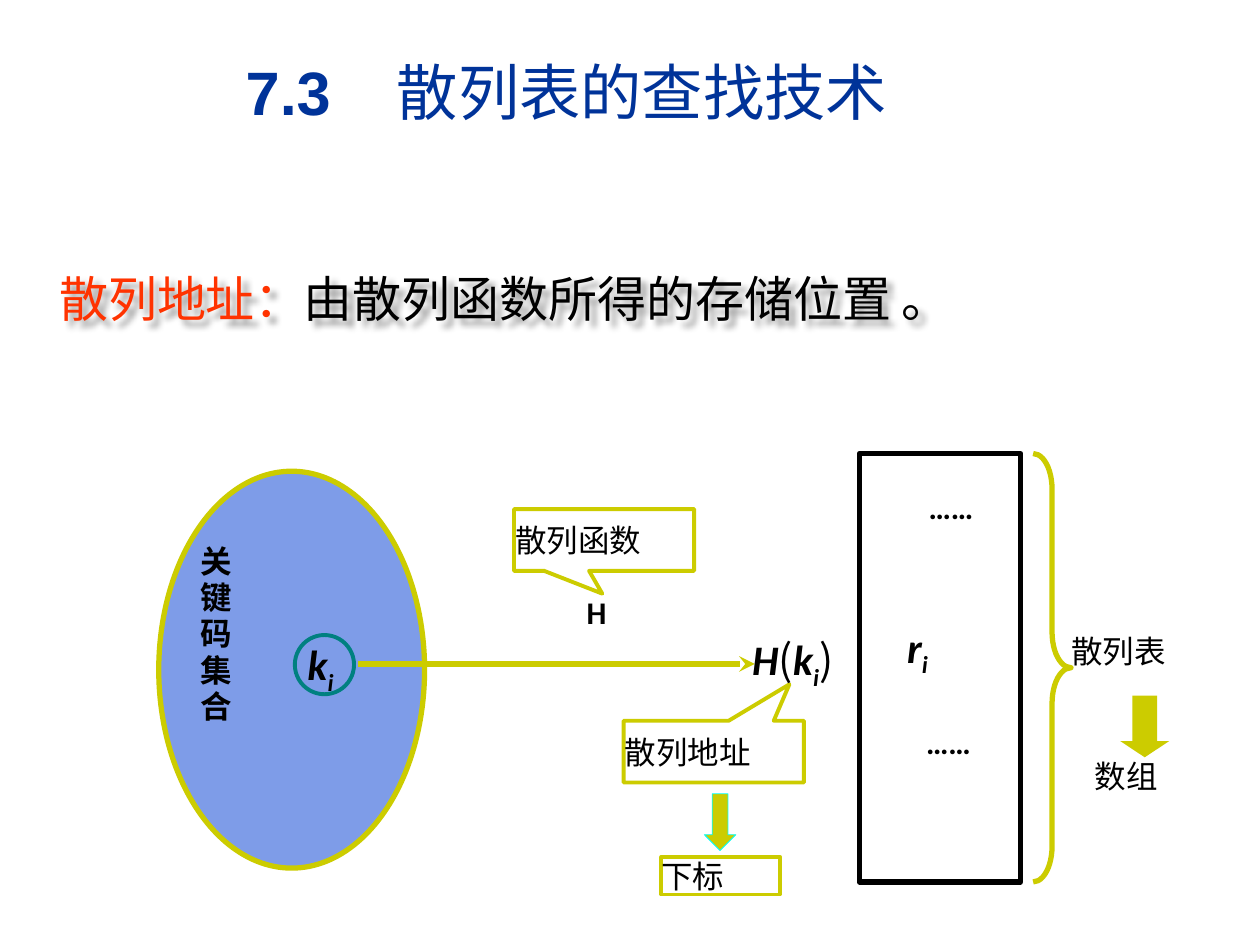
from typing import NamedTuple, Optional

from lxml.etree import SubElement
from pptx import Presentation
from pptx.dml.color import RGBColor
from pptx.enum.shapes import MSO_CONNECTOR, MSO_SHAPE
from pptx.enum.text import MSO_ANCHOR, PP_ALIGN
from pptx.oxml.ns import qn
from pptx.util import Inches, Pt

CJK = "Noto Sans CJK SC"
LATIN = "Calibri"
BLACK, OLIVE = "000000", "CCCC00"


class Run(NamedTuple):
    text: str
    size: float = 18
    font: str = CJK
    color: str = BLACK
    bold: bool = False
    italic: bool = False
    subscript: bool = False


class Box(NamedTuple):
    left: float
    top: float
    width: float
    height: float


class Label(NamedTuple):
    box: Box
    runs: list[Run]
    align: PP_ALIGN = PP_ALIGN.LEFT
    spacing: Optional[float] = None


class Figure(NamedTuple):
    kind: MSO_SHAPE
    box: Box
    fill: Optional[str] = None
    line: Optional[str] = OLIVE
    line_width: float = 3
    adjustments: tuple[float, ...] = ()
    text: str = ""
    inset: float = 0


def rgb(value: str) -> RGBColor:
    return RGBColor.from_string(value)


def lengths(box: Box) -> list[int]:
    return [Inches(value) for value in box]


def write_runs(paragraph, runs: list[Run]) -> None:
    for item in runs:
        run = paragraph.add_run()
        run.text = item.text
        font = run.font
        font.size, font.name = Pt(item.size), item.font
        font.bold, font.italic = item.bold, item.italic
        font.color.rgb = rgb(item.color)
        properties = run._r.get_or_add_rPr()
        SubElement(properties, qn("a:ea"), typeface=item.font)
        if item.subscript:
            properties.set("baseline", "-25000")


def prepare_frame(shape, inset: float = 0, anchor: MSO_ANCHOR = MSO_ANCHOR.TOP):
    frame = shape.text_frame
    frame.word_wrap = True
    frame.vertical_anchor = anchor
    frame.margin_left = frame.margin_right = Inches(inset)
    frame.margin_top = frame.margin_bottom = Inches(inset)
    return frame.paragraphs[0]


def add_label(slide, label: Label, anchor: MSO_ANCHOR = MSO_ANCHOR.TOP):
    shape = slide.shapes.add_textbox(*lengths(label.box))
    paragraph = prepare_frame(shape, anchor=anchor)
    paragraph.alignment = label.align
    if label.spacing:
        paragraph.line_spacing = label.spacing
    write_runs(paragraph, label.runs)
    return shape


def add_figure(slide, figure: Figure) -> None:
    shape = slide.shapes.add_shape(figure.kind, *lengths(figure.box))
    shape.shadow.inherit = False
    for index, value in enumerate(figure.adjustments):
        shape.adjustments[index] = value
    if figure.fill:
        shape.fill.solid()
        shape.fill.fore_color.rgb = rgb(figure.fill)
    else:
        shape.fill.background()
    if figure.line:
        shape.line.color.rgb = rgb(figure.line)
        shape.line.width = Pt(figure.line_width)
    else:
        shape.line.fill.background()
    if figure.text:
        paragraph = prepare_frame(shape, figure.inset, MSO_ANCHOR.MIDDLE)
        paragraph.alignment = PP_ALIGN.LEFT
        write_runs(paragraph, [Run(figure.text)])


def add_arrow(slide, left: float, right: float, y: float) -> None:
    arrow = slide.shapes.add_connector(
        MSO_CONNECTOR.STRAIGHT, Inches(left), Inches(y), Inches(right), Inches(y))
    arrow.line.color.rgb = rgb(OLIVE)
    arrow.line.width = Pt(3)
    SubElement(arrow.line._get_or_add_ln(), qn("a:tailEnd"), type="stealth")
    SubElement(arrow._element.spPr, qn("a:effectLst"))


def add_soft_shadow(shape) -> None:
    effects = SubElement(shape._element.spPr, qn("a:effectLst"))
    shadow = SubElement(effects, qn("a:outerShdw"),
                        blurRad="50800", dist="50800", dir="2700000")
    color = SubElement(shadow, qn("a:srgbClr"), val=BLACK)
    SubElement(color, qn("a:alpha"), val="40000")


def add_title(slide) -> None:
    title = Label(Box(1.95, 0.43, 6.01, 0.59), [
        Run("7.3\t", 35, "Arial", "003399", bold=True),
        Run("散列表的查找技术", 35, CJK, "003399")])
    shape = add_label(slide, title, MSO_ANCHOR.MIDDLE)
    properties = shape.text_frame.paragraphs[0]._p.get_or_add_pPr()
    tabs = SubElement(properties, qn("a:tabLst"))
    SubElement(tabs, qn("a:tab"), pos=str(Inches(1.2)), algn="l")


def symbol(text: str, subscript: bool = False) -> Run:
    return Run(text, 24, LATIN, bold=True, italic=True, subscript=subscript)


def main() -> None:
    presentation = Presentation()
    presentation.slide_width, presentation.slide_height = Inches(10), Inches(7.5)
    slide = presentation.slides.add_slide(presentation.slide_layouts[6])

    # Title and definition
    add_title(slide)
    definition = add_label(slide, Label(Box(0.47, 2.13, 9.17, 0.47), [
        Run("散列地址：", 28, CJK, "FF3300"),
        Run("由散列函数所得的存储位置 。", 28)]))
    add_soft_shadow(definition)

    # Key set, hash table, callouts and block arrows
    callout = MSO_SHAPE.RECTANGULAR_CALLOUT
    figures = [
        Figure(MSO_SHAPE.RIGHT_BRACE, Box(8.2, 3.6, 0.3, 3.4),
               adjustments=(0.94, 0.5)),
        Figure(MSO_SHAPE.OVAL, Box(1.26, 3.74, 2.11, 3.15), fill="7E9CE8"),
        Figure(MSO_SHAPE.RECTANGLE, Box(6.82, 3.6, 1.28, 3.4), line=BLACK),
        Figure(MSO_SHAPE.OVAL, Box(2.34, 5.04, 0.47, 0.47),
               line="008080", line_width=2.25),
        Figure(callout, Box(4.08, 4.04, 1.43, 0.49), line_width=2.25,
               adjustments=(-0.01, 0.87), text="散列函数", inset=0.01),
        Figure(callout, Box(4.95, 5.72, 1.43, 0.49), line_width=2.25,
               adjustments=(0.42, -1.09), text="散列地址", inset=0.01),
        Figure(MSO_SHAPE.DOWN_ARROW, Box(5.59, 6.3, 0.25, 0.45), fill=OLIVE,
               line="00FFFF", line_width=0.5),
        Figure(MSO_SHAPE.RECTANGLE, Box(5.25, 6.8, 0.94, 0.3),
               line_width=2.25, text="下标"),
        Figure(MSO_SHAPE.DOWN_ARROW, Box(8.89, 5.52, 0.39, 0.49), fill=OLIVE,
               line=None, adjustments=(0.5, 0.33)),
    ]
    for figure in figures:
        add_figure(slide, figure)
    add_arrow(slide, 2.84, 5.99, 5.27)

    # Labels of the diagram
    justified = PP_ALIGN.JUSTIFY
    key = [symbol("k"), symbol("i", True)]
    dots = [Run("……", 18, LATIN, bold=True)]
    labels = [
        Label(Box(8.5, 5.02, 1.21, 0.3), [Run("散列表")]),
        Label(Box(8.69, 6.01, 0.89, 0.3), [Run("数组")]),
        Label(Box(1.59, 4.32, 0.34, 1.45),
              [Run("关键码集合", 18, "Arial", bold=True)], justified, 0.96),
        Label(Box(2.44, 5.07, 0.4, 0.39), key, justified, 0.96),
        Label(Box(7.2, 4.93, 0.8, 0.41),
              [symbol("r"), symbol("i", True)], justified),
        Label(Box(5.97, 5.03, 0.81, 0.39),
              [symbol("H"), Run("(", 24), *key, Run(")", 24)], justified, 0.96),
        Label(Box(7.37, 3.89, 0.37, 0.29), dots, justified, 0.96),
        Label(Box(7.35, 5.76, 0.37, 0.29), dots, justified, 0.96),
        Label(Box(3.67, 4.73, 2.13, 0.29),
              [Run("H", 18, LATIN, bold=True)], PP_ALIGN.CENTER, 0.96),
    ]
    for label in labels:
        add_label(slide, label)

    presentation.save("out.pptx")


if __name__ == "__main__":
    main()
